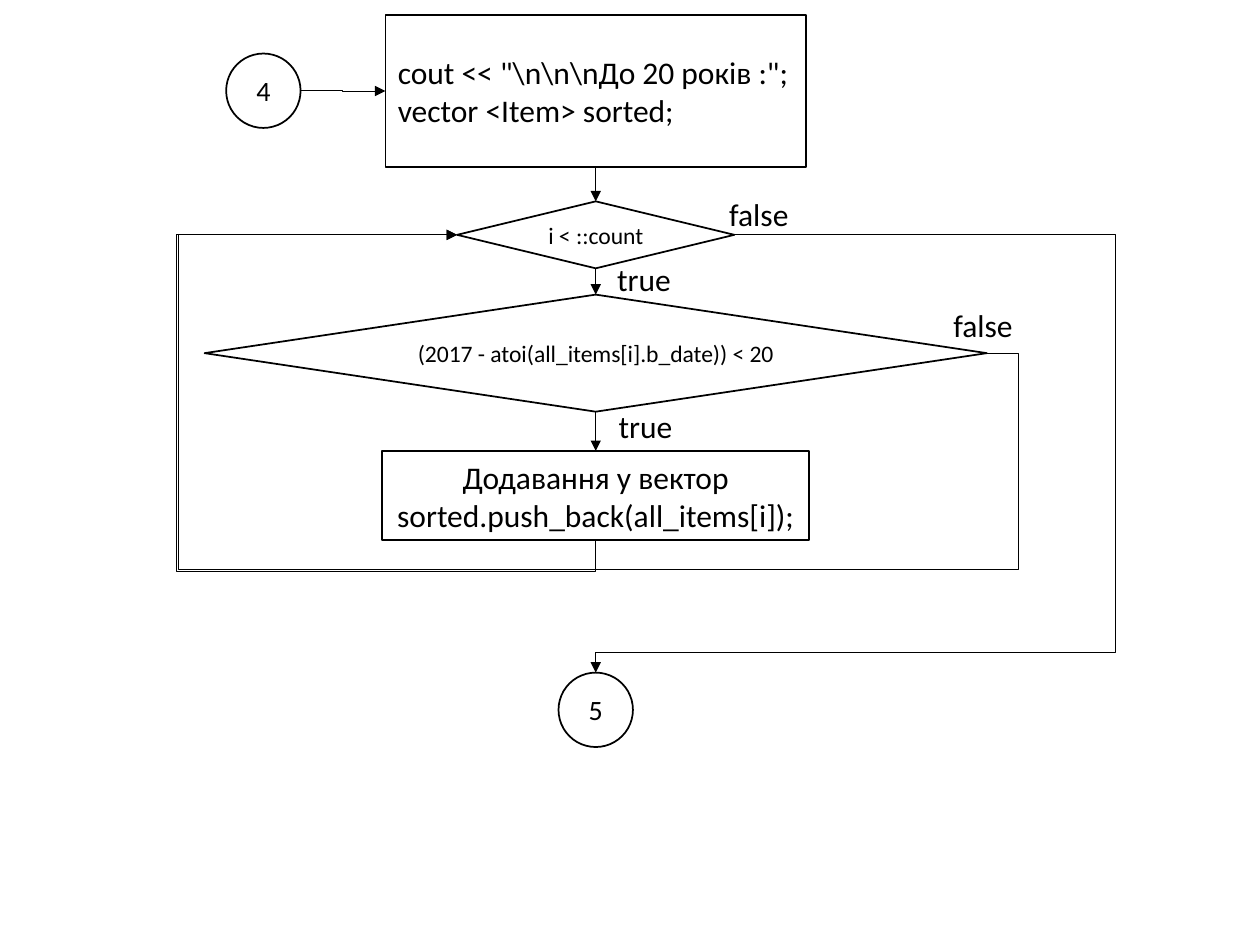
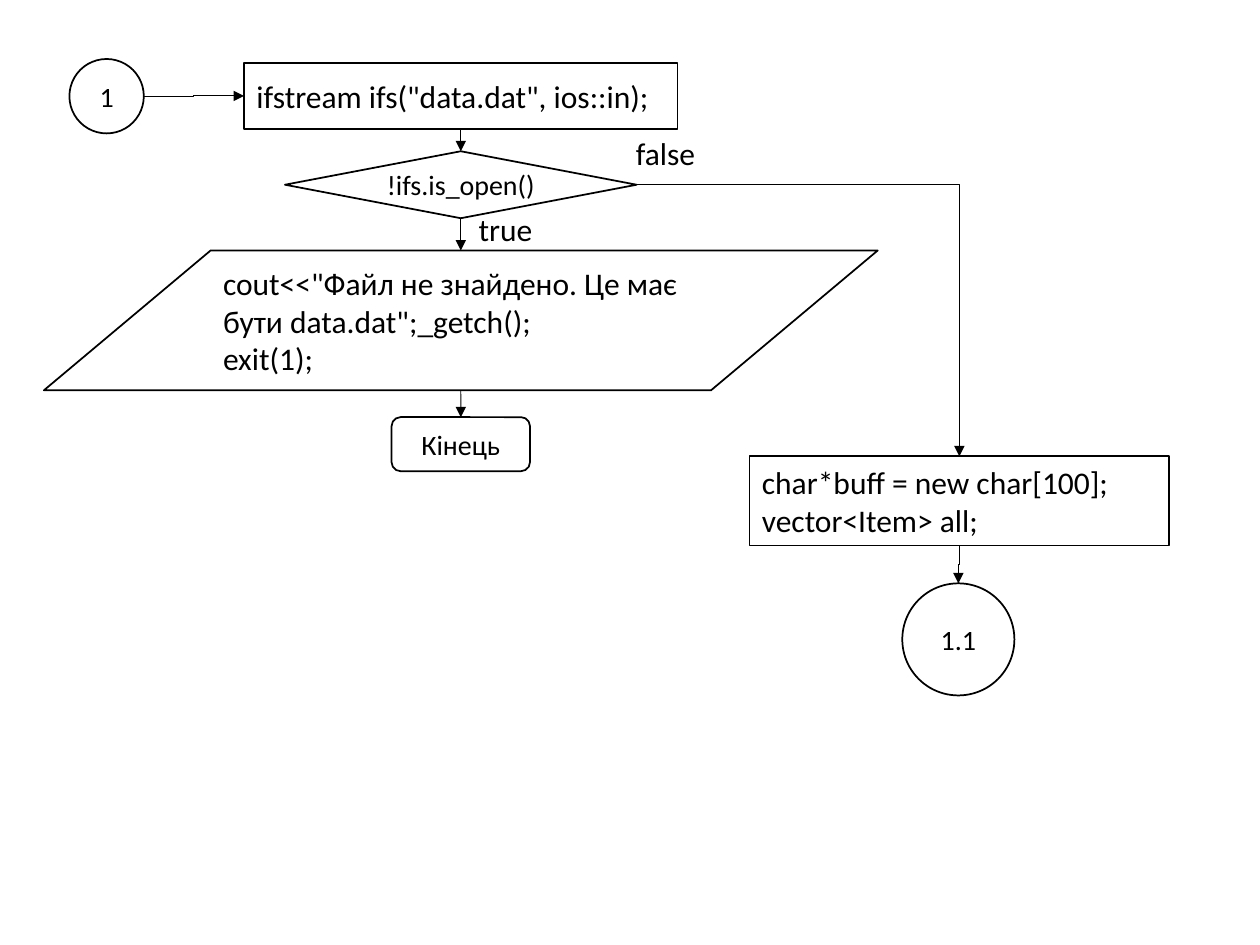
from lxml import etree
from pptx import Presentation
from pptx import util as u
from pptx.dml.color import RGBColor
from pptx.enum import shapes, text
from pptx.oxml.ns import qn

COLOURS = {"ink": "000000", "paper": "FFFFFF"}
INK = RGBColor.from_string(COLOURS["ink"])
PAPER = RGBColor.from_string(COLOURS["paper"])
FONT = "Calibri"
KIND = shapes.MSO_SHAPE

# Connection site numbers; every other shape has four sites
FOUR_SITES = {"top": 0, "left": 1, "bottom": 2, "right": 3}
SITES = {
    KIND.OVAL: {"top": 0, "left": 2, "bottom": 4, "right": 6},
    KIND.FLOWCHART_DATA: {"top": 1, "left": 2, "bottom": 4, "right": 5},
}
# Side of a shape as a share of its width and height
SIDES = {"top": (0.5, 0), "left": (0, 0.5), "bottom": (0.5, 1), "right": (1, 0.5)}


def add_node(page, kind, centre, top, width, height, lines, size=18, centred=True):
    """Outlined flowchart block, placed by its centre line and top in cm."""
    box = page.shapes.add_shape(kind, u.Cm(centre - width / 2), u.Cm(top),
                                u.Cm(width), u.Cm(height))
    box.shadow.inherit = False
    box.fill.solid()
    box.fill.fore_color.rgb = PAPER
    box.line.color.rgb = INK
    box.line.width = u.Pt(1)
    frame = box.text_frame
    frame.word_wrap = not centred
    frame.vertical_anchor = text.MSO_ANCHOR.MIDDLE
    if kind in (KIND.OVAL, KIND.ROUNDED_RECTANGLE):
        frame.margin_left = frame.margin_right = u.Cm(0.18)
        frame.margin_top = frame.margin_bottom = u.Cm(0.1)
    for number, line in enumerate(lines):
        para = frame.add_paragraph() if number else frame.paragraphs[0]
        para.text = line
        para.alignment = text.PP_ALIGN.CENTER if centred else text.PP_ALIGN.LEFT
        para.font.name = FONT
        para.font.size = u.Pt(size)
        para.font.color.rgb = INK
    return box


def add_link(page, source, source_side, target, target_side, bends=None):
    """Glued arrow; bends lists the elbow adjustments in percent, None is straight."""
    ends = []
    for box, side in ((source, source_side), (target, target_side)):
        across, down = SIDES[side]
        ends += [int(box.left + across * box.width), int(box.top + down * box.height)]
    style = shapes.MSO_CONNECTOR.STRAIGHT if bends is None else shapes.MSO_CONNECTOR.ELBOW
    arrow = page.shapes.add_connector(style, *ends)
    arrow.line.color.rgb = INK
    arrow.line.width = u.Pt(0.5)
    properties = arrow._element.spPr
    etree.SubElement(arrow.line._get_or_add_ln(), qn("a:tailEnd"), type="triangle")
    etree.SubElement(properties, qn("a:effectLst"))

    # Glue both ends
    glue = arrow._element.find(".//" + qn("p:cNvCxnSpPr"))
    for tag, box, side in (("a:stCxn", source, source_side), ("a:endCxn", target, target_side)):
        site = SITES.get(box.auto_shape_type, FOUR_SITES)[side]
        etree.SubElement(glue, qn(tag), id=str(box.shape_id), idx=str(site))
    if bends is None:
        return

    # Elbow preset and its adjustments
    geometry = properties.find(qn("a:prstGeom"))
    geometry.set("prst", f"bentConnector{len(bends) + 2}")
    guides = geometry.find(qn("a:avLst"))
    if guides is None:
        guides = etree.SubElement(geometry, qn("a:avLst"))
    for number, percent in enumerate(bends, 1):
        etree.SubElement(guides, qn("a:gd"), name=f"adj{number}",
                         fmla=f"val {round(percent * 1000)}")

    # An elbow that leaves downwards is a sideways one turned by 90 degrees
    if source_side == "bottom":
        x1, y1, x2, y2 = ends
        wide, high = abs(y2 - y1), abs(x2 - x1)
        arrow.left, arrow.top = (x1 + x2 - wide) // 2, (y1 + y2 - high) // 2
        arrow.width, arrow.height = wide, high
        frame = properties.find(qn("a:xfrm"))
        frame.set("rot", "5400000")
        frame.set("flipH", str(int(y2 < y1)))
        frame.set("flipV", str(int(x2 > x1)))


deck = Presentation()
deck.slide_width, deck.slide_height = u.Cm(25.4), u.Cm(19.05)
blank = deck.slide_layouts[6]
sorting, reading = deck.slides.add_slide(blank), deck.slides.add_slide(blank)

# Slide 1: collecting the items under 20 years
axis = 12.01
entry = add_node(sorting, KIND.OVAL, 5.31, 1.08, 1.5, 1.5, ["4"], 16)
start = add_node(sorting, KIND.FLOWCHART_PROCESS, axis, 0.3, 8.48, 3.07,
                 ['cout << "\\n\\n\\nДо 20 років :";', "vector <Item> sorted;"],
                 centred=False)
loop = add_node(sorting, KIND.FLOWCHART_DECISION, axis, 4.06, 5.59, 1.35,
                ["i < ::count"], 13.5)
age = add_node(sorting, KIND.FLOWCHART_DECISION, axis, 5.94, 15.77, 2.36,
               ["(2017 - atoi(all_items[i].b_date)) < 20"], 13.5)
push = add_node(sorting, KIND.RECTANGLE, axis, 9.09, 8.61, 1.8,
                ["Додавання у вектор", "sorted.push_back(all_items[i]);"])
leave = add_node(sorting, KIND.OVAL, axis, 13.56, 1.5, 1.5, ["5"], 16)

add_link(sorting, entry, "right", start, "left", [50])
for upper, lower in ((start, loop), (loop, age), (age, push)):
    add_link(sorting, upper, "bottom", lower, "top")
add_link(sorting, push, "bottom", loop, "left", [-10.3, 302.3])
add_link(sorting, age, "right", loop, "left", [-6, -182.7, 152.6])
add_link(sorting, loop, "right", leave, "top", [-275.2, 95.5])

# Slide 2: opening the data file
axis = 9.29
entry = add_node(reading, KIND.OVAL, 2.15, 1.19, 1.5, 1.5, ["1"], 16)
stream = add_node(reading, KIND.FLOWCHART_PROCESS, axis, 1.27, 8.74, 1.33,
                  ['ifstream ifs("data.dat", ios::in);'], centred=False)
missing = add_node(reading, KIND.FLOWCHART_DECISION, axis, 3.05, 7.09, 1.35,
                   ["!ifs.is_open()"], 16)
message = add_node(reading, KIND.FLOWCHART_DATA, axis, 5.05, 16.81, 2.82,
                   ['cout<<"Файл не знайдено. Це має бути data.dat";_getch();', "exit(1);"],
                   centred=False)
finish = add_node(reading, KIND.ROUNDED_RECTANGLE, axis, 8.41, 2.79, 1.09, ["Кінець"], 16)
buffer = add_node(reading, KIND.RECTANGLE, 19.34, 9.2, 8.46, 1.8,
                  ["char*buff = new char[100];", "vector<Item> all;"], centred=False)
leave = add_node(reading, KIND.OVAL, 19.32, 11.76, 2.26, 2.26, ["1.1"], 16)

add_link(reading, entry, "right", stream, "left", [50])
for upper, lower in ((stream, missing), (missing, message), (message, finish)):
    add_link(reading, upper, "bottom", lower, "top")
add_link(reading, missing, "right", buffer, "top", [])
add_link(reading, buffer, "bottom", leave, "top", [50])

# Branch labels on both slides
LABEL_WIDTHS = {"true": 2.36, "false": 1.85}
for page, word, left, top in (
    (sorting, "true", 12.19, 5.11),
    (sorting, "false", 14.45, 3.81),
    (sorting, "true", 12.22, 8.08),
    (sorting, "false", 18.97, 6.05),
    (reading, "true", 9.4, 4.11),
    (reading, "false", 12.57, 2.57),
):
    label = page.shapes.add_textbox(u.Cm(left), u.Cm(top),
                                    u.Cm(LABEL_WIDTHS[word]), u.Cm(1.02))
    label.text_frame.word_wrap = True
    para = label.text_frame.paragraphs[0]
    para.text = word
    para.font.name = FONT
    para.font.size = u.Pt(18)
    para.font.color.rgb = INK

deck.save("out.pptx")
